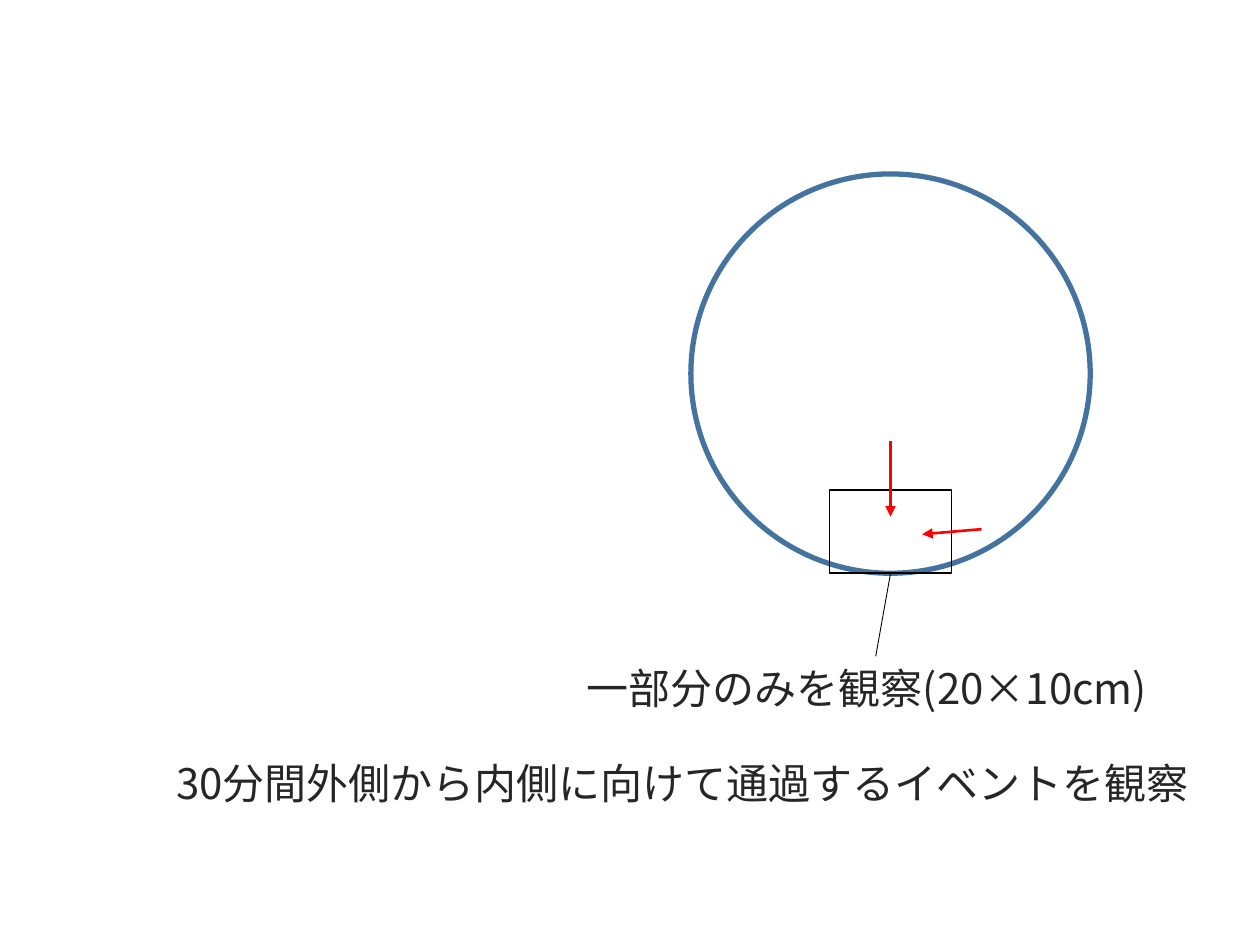
from lxml.etree import SubElement
from pptx import Presentation
from pptx.dml.color import RGBColor
from pptx.enum.shapes import MSO_CONNECTOR, MSO_SHAPE
from pptx.enum.text import MSO_AUTO_SIZE
from pptx.oxml.ns import qn
from pptx.util import Pt

FONT = "Noto Sans CJK JP"
CENTER_X, CIRCLE_TOP, DIAMETER = 508.9, 99.4, 228.2
CIRCLE_BOTTOM = CIRCLE_TOP + DIAMETER
WINDOW_WIDTH, WINDOW_HEIGHT = 69.8, 47.5

OUTLINES = [
    (MSO_SHAPE.OVAL, DIAMETER, DIAMETER, "FFFFFF", "43739E", 3),
    (MSO_SHAPE.RECTANGLE, WINDOW_WIDTH, WINDOW_HEIGHT, None, "000000", 1),
]
CAPTIONS = [
    ("一部分のみを観察(20×10cm)", 328.3, 375.1, 344.9),
    ("30分間外側から内側に向けて通過するイベントを観察", 93.6, 429.1, 601.9),
]
LINES = [
    ((CENTER_X, CIRCLE_BOTTOM), (500.4, 375.1), "000000", 0.5, False),
    ((CENTER_X, 252), (CENTER_X, 295.2), "FF0000", 1.5, True),
    ((560.9, 302.4), (527, 305.3), "FF0000", 1.5, True),
]


def color(value):
    return RGBColor.from_string(value)


def set_line(line, value, width):
    line.color.rgb = color(value)
    line.width = Pt(width)


def add_outline(slide, kind, width, height, fill, stroke, weight):
    box = (CENTER_X - width / 2, CIRCLE_BOTTOM - height, width, height)
    outline = slide.shapes.add_shape(kind, *map(Pt, box))
    outline.shadow.inherit = False
    if fill:
        outline.fill.solid()
        outline.fill.fore_color.rgb = color(fill)
    else:
        outline.fill.background()
    set_line(outline.line, stroke, weight)


def add_caption(slide, wording, left, top, width):
    frame = slide.shapes.add_textbox(*map(Pt, (left, top, width, 36))).text_frame
    frame.word_wrap = False
    frame.auto_size = MSO_AUTO_SIZE.SHAPE_TO_FIT_TEXT
    run = frame.paragraphs[0].add_run()
    run.text = wording
    for key, value in {"name": FONT, "size": Pt(24)}.items():
        setattr(run.font, key, value)
    run.font.color.rgb = color("262626")
    SubElement(run.font._element, qn("a:ea"), typeface=FONT)


def add_line(slide, start, end, stroke, weight, arrow):
    line = slide.shapes.add_connector(MSO_CONNECTOR.STRAIGHT, *map(Pt, start + end))
    set_line(line.line, stroke, weight)
    if arrow:
        SubElement(line.line._get_or_add_ln(), qn("a:tailEnd"), type="triangle")
    SubElement(line._element.spPr, qn("a:effectLst"))


def main():
    deck = Presentation()
    deck.slide_width, deck.slide_height = Pt(720), Pt(540)
    slide = deck.slides.add_slide(deck.slide_layouts[6])
    for add, items in ((add_outline, OUTLINES), (add_caption, CAPTIONS), (add_line, LINES)):
        for item in items:
            add(slide, *item)
    deck.save("out.pptx")


if __name__ == "__main__":
    main()
